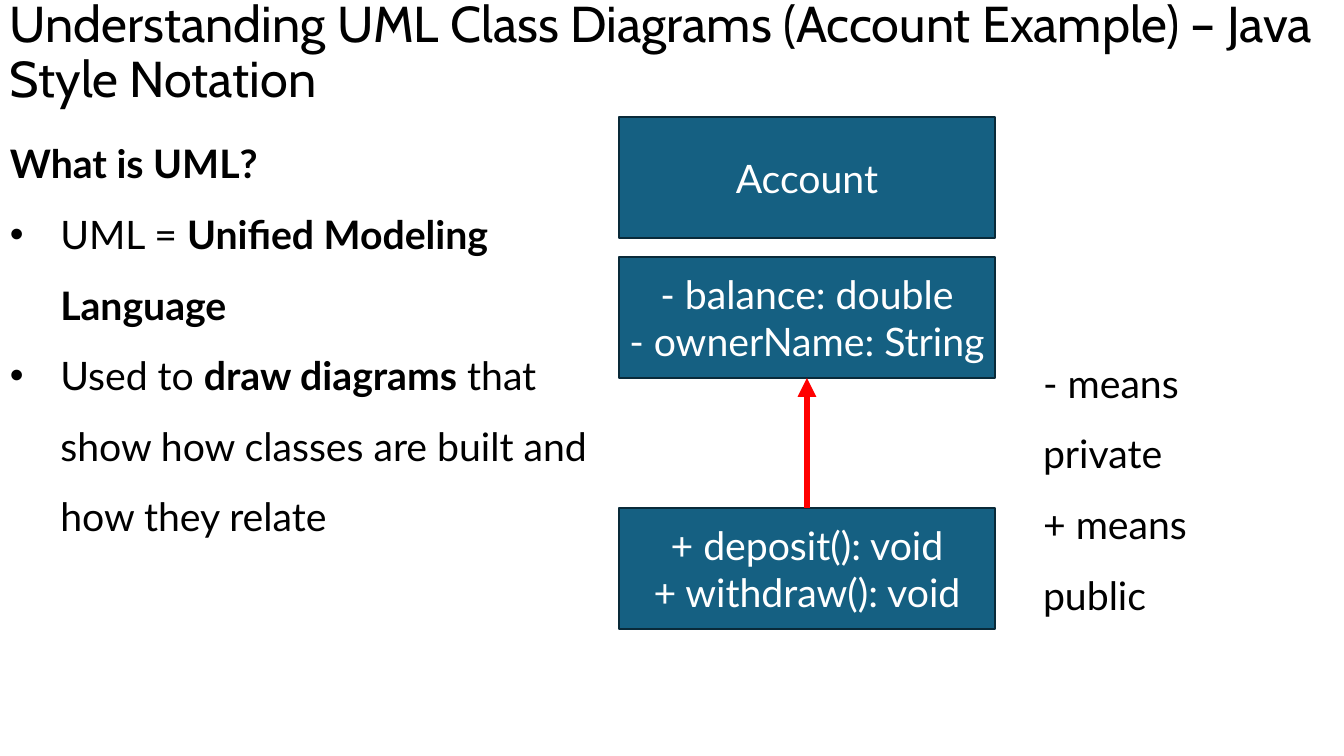
from lxml.etree import SubElement
from pptx import Presentation
from pptx.dml.color import RGBColor
from pptx.enum.shapes import MSO_CONNECTOR, MSO_SHAPE
from pptx.enum.text import MSO_ANCHOR, PP_ALIGN
from pptx.oxml.ns import qn
from pptx.util import Pt


def color(code):
    return RGBColor.from_string(code)


class Deck:
    black, white, blue, navy, red = "000000", "FFFFFF", "156082", "092A39", "FF0000"
    head, body = "Cabin", "Lato"

    def __init__(self):
        self.prs = Presentation()
        self.prs.slide_width, self.prs.slide_height = Pt(960), Pt(540)
        self.slide = self.prs.slides.add_slide(self.prs.slide_layouts[6])

    def fill_text(self, shape, paras, size=28, font=body, ink=black, space=None,
                  align=PP_ALIGN.LEFT, anchor=MSO_ANCHOR.MIDDLE):
        """Each paragraph is (bulleted, [(text, bold), ...])."""
        frame = shape.text_frame
        frame.word_wrap = True
        frame.vertical_anchor = anchor
        for i, (dot, runs) in enumerate(paras):
            para = frame.add_paragraph() if i else frame.paragraphs[0]
            para.alignment = align
            if space:
                para.line_spacing = space
            if dot:
                self.bullet(para)
            for text, bold in runs:
                run = para.add_run()
                run.text = text
                run.font.name, run.font.size, run.font.bold = font, Pt(size), bold
                run.font.color.rgb = color(ink)

    def bullet(self, para):
        props = para._p.get_or_add_pPr()
        props.set("marL", str(Pt(36)))
        props.set("indent", str(-Pt(36)))
        SubElement(props, qn("a:buFont")).set("typeface", "Arial")
        SubElement(props, qn("a:buChar")).set("char", "•")

    def text(self, x, y, w, h, paras, **style):
        box = self.slide.shapes.add_textbox(Pt(x), Pt(y), Pt(w), Pt(h))
        self.fill_text(box, paras, **style)

    def rect(self, x, y, w, h, paras, fill, line=None, **style):
        box = self.slide.shapes.add_shape(
            MSO_SHAPE.RECTANGLE, Pt(x), Pt(y), Pt(w), Pt(h))
        box.shadow.inherit = False
        box.fill.solid()
        box.fill.fore_color.rgb = color(fill)
        if line:
            box.line.color.rgb = color(line)
            box.line.width = Pt(1.5)
        else:
            box.line.fill.background()
        self.fill_text(box, paras, **style)
        return box

    def arrow(self, low, high):
        """Runs from the top of one box up to the bottom of another."""
        link = self.slide.shapes.add_connector(MSO_CONNECTOR.STRAIGHT, 0, 0, 0, 0)
        link.begin_connect(low, 0)
        link.end_connect(high, 2)
        link.line.color.rgb = color(self.red)
        link.line.width = Pt(4.5)
        SubElement(link.line._get_or_add_ln(), qn("a:tailEnd")).set("type", "triangle")
        SubElement(link._element.spPr, qn("a:effectLst"))


def plain(*lines):
    return [(False, [(line, False)]) for line in lines]


def main():
    deck = Deck()

    # Title
    deck.text(0, 0, 960, 80.64, plain(
        "Understanding UML Class Diagrams (Account Example) – Java Style Notation"),
        size=36, font=deck.head, space=0.9, anchor=MSO_ANCHOR.BOTTOM)

    # Explanation
    deck.rect(0, 80.64, 445, 307.4, [
        (False, [("What is UML?", True)]),
        (True, [("UML = ", False), ("Unified Modeling Language", True)]),
        (True, [("Used to ", False), ("draw diagrams", True),
                (" that show how classes are built and how they relate", False)]),
    ], deck.white, space=1.5)

    # Class diagram
    parts = [
        (83.5, ["Account"]),
        (183.6, ["- balance: double", "- ownerName: String"]),
        (362.9, ["+ deposit(): void", "+ withdraw(): void"]),
    ]
    name, fields, methods = [
        deck.rect(442.1, y, 268.6, 86.4, plain(*lines), deck.blue, deck.navy,
                  ink=deck.white, align=PP_ALIGN.CENTER)
        for y, lines in parts]
    deck.arrow(methods, fields)

    # Legend
    deck.text(738, 288.7, 192.2, 103.7,
              plain("- means private", "+ means public"), space=1.5)

    deck.prs.save("out.pptx")


if __name__ == "__main__":
    main()
